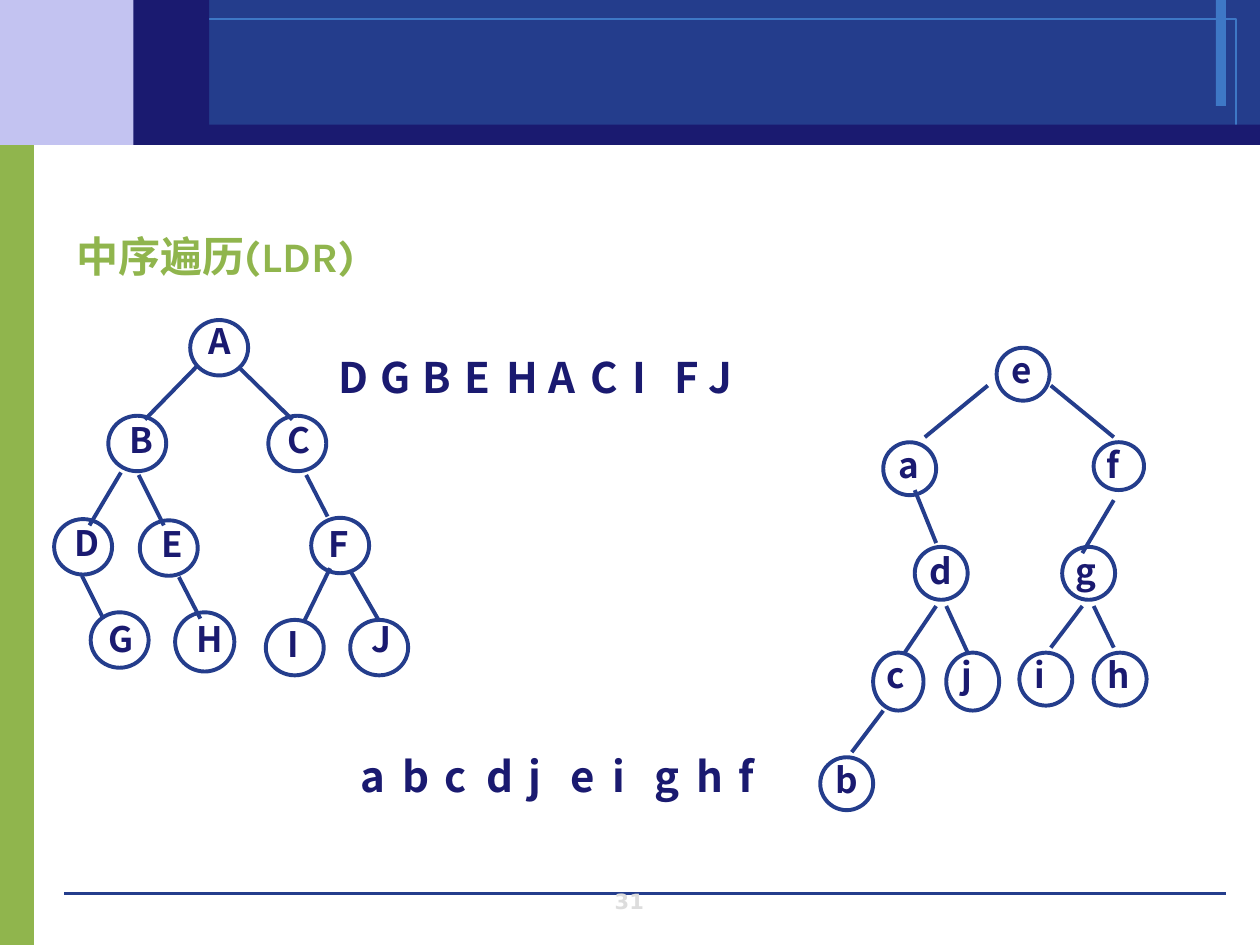
from pptx import Presentation
from pptx.dml.color import RGBColor
from pptx.enum.shapes import MSO_CONNECTOR, MSO_SHAPE
from pptx.enum.text import MSO_ANCHOR, MSO_AUTO_SIZE, PP_ALIGN
from pptx.oxml.ns import qn
from pptx.util import Inches, Pt

RECT, OVAL = MSO_SHAPE.RECTANGLE, MSO_SHAPE.OVAL
STRAIGHT = MSO_CONNECTOR.STRAIGHT
TOP, BOTTOM = MSO_ANCHOR.TOP, MSO_ANCHOR.BOTTOM
LEFT, CENTER, JUSTIFY = PP_ALIGN.LEFT, PP_ALIGN.CENTER, PP_ALIGN.JUSTIFY
GROW = MSO_AUTO_SIZE.SHAPE_TO_FIT_TEXT
FIXED = MSO_AUTO_SIZE.NONE

BLUE, NAVY, SKY = "243D8C", "1A1A70", "3E78C6"
LAVENDER, GREEN, GREY = "C3C3F1", "90B54D", "DDDDDD"
CJK_FONT = "Noto Sans CJK SC"

# Each node: label, circle left, top, width, height, label offset x, y
UPPER_NODES = [
    ("A", 1.51, 2.54, 0.46, 0.44, 0.05, -0.05),
    ("B", 0.86, 3.30, 0.46, 0.44, 0.07, -0.03),
    ("C", 2.13, 3.30, 0.46, 0.44, 0.05, -0.03),
    ("D", 0.43, 4.12, 0.46, 0.44, 0.06, -0.03),
    ("E", 1.11, 4.13, 0.46, 0.44, 0.07, -0.03),
    ("F", 2.47, 4.11, 0.46, 0.44, 0.04, -0.01),
    ("G", 0.72, 4.86, 0.46, 0.44, 0.04, -0.01),
    ("H", 1.39, 4.86, 0.47, 0.47, 0.07, -0.01),
    ("I", 2.11, 4.92, 0.46, 0.44, 0.07, -0.03),
    ("J", 2.78, 4.92, 0.46, 0.44, 0.07, -0.07),
]
UPPER_EDGES = [
    (1.56, 2.91, 1.15, 3.33), (1.90, 2.92, 2.32, 3.33),
    (0.96, 3.75, 0.71, 4.17), (1.10, 3.77, 1.30, 4.17),
    (2.43, 3.77, 2.60, 4.10), (0.65, 4.57, 0.82, 4.91),
    (1.42, 4.58, 1.59, 4.91), (2.62, 4.51, 2.41, 4.94),
    (2.78, 4.53, 3.01, 4.93),
]
LOWER_NODES = [
    ("e", 7.91, 2.76, 0.42, 0.42, 0.02, -0.04),
    ("a", 7.01, 3.51, 0.42, 0.42, 0.02, -0.04),
    ("f", 8.68, 3.51, 0.40, 0.38, 0, -0.04),
    ("d", 7.26, 4.34, 0.42, 0.42, 0.02, -0.03),
    ("g", 8.43, 4.34, 0.42, 0.42, 0.01, -0.03),
    ("c", 6.93, 5.18, 0.40, 0.46, 0.01, -0.04),
    ("j", 7.51, 5.18, 0.42, 0.46, 0.02, -0.04),
    ("i", 8.09, 5.18, 0.42, 0.42, 0.02, -0.04),
    ("h", 8.68, 5.18, 0.42, 0.42, 0.01, -0.04),
    ("b", 6.51, 6.01, 0.42, 0.42, 0.02, -0.04),
]
LOWER_EDGES = [
    (7.84, 3.06, 7.34, 3.47), (8.34, 3.06, 8.84, 3.47),
    (7.26, 3.89, 7.43, 4.31), (8.84, 3.97, 8.59, 4.39),
    (7.43, 4.81, 7.18, 5.18), (7.51, 4.81, 7.68, 5.18),
    (8.59, 4.81, 8.34, 5.14), (8.68, 4.81, 8.84, 5.14),
    (7.01, 5.64, 6.76, 5.97),
]


def rgb(hex_string):
    return RGBColor.from_string(hex_string)


def write(shape, text, *, size=24, font=CJK_FONT, color=NAVY, align=JUSTIFY,
          anchor=TOP, wrap=True, fit=GROW):
    frame = shape.text_frame
    frame.word_wrap, frame.auto_size = wrap, fit
    frame.vertical_anchor = anchor
    paragraph = frame.paragraphs[0]
    paragraph.alignment = align
    run = paragraph.add_run()
    run.text = text
    run.font.size, run.font.bold, run.font.name = Pt(size), True, font
    run.font.color.rgb = rgb(color)
    east_asian = run.font._element.makeelement(qn("a:ea"), {"typeface": CJK_FONT})
    run.font._element.find(qn("a:latin")).addnext(east_asian)


class TraversalSlide:
    """Holds the line style and the slide being drawn."""

    def __init__(self, slide, line_color=BLUE, line_width=2.25):
        self.slide = slide
        self.line_color = line_color
        self.line_width = line_width

    def title(self, text, box, **style):
        title = self.slide.shapes.title
        title.left, title.top, title.width, title.height = map(Inches, box)
        write(title, text, **style)

    def shape(self, kind, box, fill=None, line=None, width=0, shapes=None):
        shapes = shapes or self.slide.shapes
        shape = shapes.add_shape(kind, *map(Inches, box))
        shape.shadow.inherit = False
        if fill:
            shape.fill.solid()
            shape.fill.fore_color.rgb = rgb(fill)
        else:
            shape.fill.background()
        if line:
            shape.line.color.rgb = rgb(line)
            shape.line.width = Pt(width)
        else:
            shape.line.fill.background()

    def line(self, ends, width, shapes=None):
        shapes = shapes or self.slide.shapes
        line = shapes.add_connector(STRAIGHT, *map(Inches, ends))
        line.line.color.rgb = rgb(self.line_color)
        line.line.width = Pt(width)
        properties = line._element.spPr
        properties.append(properties.makeelement(qn("a:effectLst"), {}))

    def text(self, text, box, shapes=None, **style):
        shapes = shapes or self.slide.shapes
        write(shapes.add_textbox(*map(Inches, box)), text, **style)

    def tree(self, nodes, edges):
        shapes = self.slide.shapes.add_group_shape().shapes
        for ends in edges:
            self.line(ends, self.line_width, shapes)
        for label, x, y, width, height, dx, dy in nodes:
            self.shape(OVAL, (x, y, width, height), line=self.line_color,
                       width=self.line_width, shapes=shapes)
            self.text(label, (x + dx, y + dy, 0.42, 0.43), shapes, size=20)

    def sequence(self, labels, left, top):
        """Set visited nodes in a row, three to the inch."""
        for index, label in enumerate(labels):
            width = 0.42 if len(label) == 1 else 0.75
            self.text(label, (left + index / 3, top, width, 0.5))


def main():
    presentation = Presentation()
    presentation.slide_width, presentation.slide_height = Inches(10), Inches(7.5)
    slide = presentation.slides.add_slide(presentation.slide_layouts[5])
    page = TraversalSlide(slide)

    page.shape(RECT, (0, 1.07, 0.27, 6.43), GREEN)
    page.shape(RECT, (0, 0, 1.53, 1.15), LAVENDER)
    page.shape(RECT, (1.53, 0, 8.47, 1.15), BLUE)
    page.shape(RECT, (9.65, 0, 0.08, 0.84), SKY)
    page.shape(RECT, (1.19, 0.15, 8.62, 0.85), line=SKY)
    page.line((0.51, 7.09, 9.73, 7.09), 0)
    page.shape(RECT, (1.3, 0.99, 8.7, 0.16), NAVY)
    page.shape(RECT, (1.06, 0, 0.6, 1.15), NAVY)
    page.text("31", (3.83, 7.05, 2.33, 0.25), size=12, font="DejaVu Sans",
              color=GREY, align=CENTER, anchor=BOTTOM, fit=FIXED)

    page.title("中序遍历(LDR)", (0.51, 1.78, 2.53, 0.5), font="Karla",
               color=GREEN, align=LEFT, wrap=False)
    page.tree(UPPER_NODES, UPPER_EDGES)
    page.sequence([*"DGBEHACI", "F J"], 2.59, 2.74)
    page.tree(LOWER_NODES, LOWER_EDGES)
    page.sequence("abcdjeighf", 2.76, 5.91)

    presentation.save("out.pptx")


if __name__ == "__main__":
    main()
